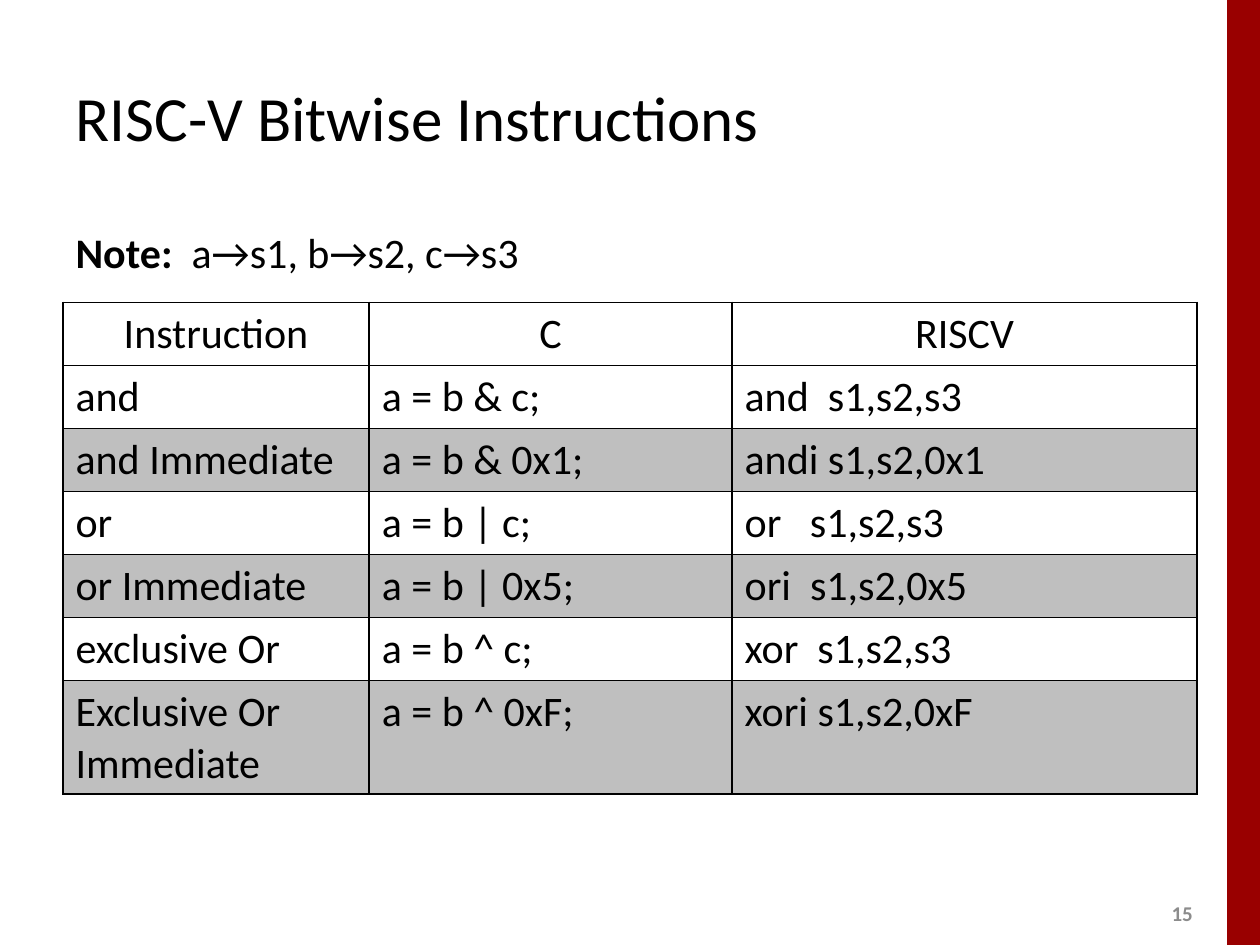
from dataclasses import dataclass

from lxml import etree
from pptx import Presentation
from pptx.dml.color import RGBColor
from pptx.enum.shapes import MSO_SHAPE
from pptx.enum.text import MSO_ANCHOR, PP_ALIGN
from pptx.oxml.ns import qn
from pptx.util import Inches, Pt

RECTANGLE = MSO_SHAPE.RECTANGLE
MIDDLE, TOP = MSO_ANCHOR.MIDDLE, MSO_ANCHOR.TOP
LEFT, CENTER = PP_ALIGN.LEFT, PP_ALIGN.CENTER


@dataclass(frozen=True)
class Theme:
    font: str = "Calibri"
    ink: str = "000000"
    muted: str = "8C8C8C"
    accent: str = "990000"
    band: str = "BFBFBF"
    title_size: int = 36
    body_size: int = 24
    number_size: int = 12
    border: float = 1


THEME = Theme()
COLUMN_WIDTHS = (2.43, 2.88, 3.69)
ROW_HEIGHT = 0.5
LAST_ROW_HEIGHT = 0.9
INSTRUCTIONS = (
    ("Instruction", "C", "RISCV"),
    ("and", "a = b & c;", "and  s1,s2,s3"),
    ("and Immediate", "a = b & 0x1;", "andi s1,s2,0x1"),
    ("or", "a = b | c;", "or   s1,s2,s3"),
    ("or Immediate", "a = b | 0x5;", "ori  s1,s2,0x5"),
    ("exclusive Or", "a = b ^ c;", "xor  s1,s2,s3"),
    ("Exclusive Or Immediate", "a = b ^ 0xF;", "xori s1,s2,0xF"),
)


def place(shape, left, top, width, height):
    shape.left, shape.top = Inches(left), Inches(top)
    shape.width, shape.height = Inches(width), Inches(height)


def style_span(span, size, color=THEME.ink, bold=False):
    span.font.name = THEME.font
    span.font.size = Pt(size)
    span.font.bold = bold
    span.font.color.rgb = RGBColor.from_string(color)


def add_side_bar(slide):
    bar = slide.shapes.add_shape(RECTANGLE, Inches(9.74), 0, Inches(0.26), Inches(7.5))
    bar.shadow.inherit = False
    bar.fill.solid()
    bar.fill.fore_color.rgb = RGBColor.from_string(THEME.accent)
    bar.line.fill.background()


def add_slide_number(slide, number):
    box = slide.shapes.add_textbox(Inches(9.2), Inches(7.1), Inches(0.4), Inches(0.3))
    frame = box.text_frame
    frame.word_wrap = True
    frame.vertical_anchor = MIDDLE
    frame.text = number
    style_span(frame.paragraphs[0].runs[0], THEME.number_size, THEME.muted, True)


def fill_title(slide, text):
    title = slide.shapes.title
    place(title, 0.5, 0.3, 9, 1.25)
    title.text_frame.text = text
    title.text_frame.vertical_anchor = MIDDLE
    para = title.text_frame.paragraphs[0]
    para.alignment = LEFT
    style_span(para.runs[0], THEME.title_size)


def fill_note(slide, label, text):
    body = slide.placeholders[1]
    place(body, 0.5, 1.75, 9, 1)
    body.text_frame.vertical_anchor = TOP
    para = body.text_frame.paragraphs[0]
    para.space_before = Pt(0)
    properties = para._p.get_or_add_pPr()
    properties.set("marL", "0")
    properties.set("indent", "0")
    etree.SubElement(properties, qn("a:buNone"))
    for words, bold in ((label, True), (text, False)):
        span = para.add_run()
        span.text = words
        style_span(span, THEME.body_size, bold=bold)


def add_borders(cell):
    properties = cell._tc.get_or_add_tcPr()
    for side in ("lnL", "lnR", "lnT", "lnB"):
        line = etree.SubElement(properties, qn(f"a:{side}"), w=str(Pt(THEME.border)))
        fill = etree.SubElement(line, qn("a:solidFill"))
        etree.SubElement(fill, qn("a:srgbClr"), val=THEME.ink)


def fill_cell(cell, text, alignment, shaded):
    add_borders(cell)
    if shaded:
        cell.fill.solid()
        cell.fill.fore_color.rgb = RGBColor.from_string(THEME.band)
    else:
        cell.fill.background()
    cell.text_frame.text = text
    para = cell.text_frame.paragraphs[0]
    para.alignment = alignment
    style_span(para.runs[0], THEME.body_size)


def add_instruction_table(slide):
    heights = [ROW_HEIGHT] * (len(INSTRUCTIONS) - 1) + [LAST_ROW_HEIGHT]
    table = slide.shapes.add_table(
        len(INSTRUCTIONS), len(COLUMN_WIDTHS), Inches(0.5), Inches(2.4),
        Inches(sum(COLUMN_WIDTHS)), Inches(sum(heights)),
    ).table
    table.first_row = False
    table.horz_banding = False
    for column, width in zip(table.columns, COLUMN_WIDTHS):
        column.width = Inches(width)
    for index, (row, texts) in enumerate(zip(table.rows, INSTRUCTIONS)):
        row.height = Inches(heights[index])
        alignment = LEFT if index else CENTER
        shaded = index > 0 and index % 2 == 0
        for cell, text in zip(row.cells, texts):
            fill_cell(cell, text, alignment, shaded)


def main():
    deck = Presentation()
    deck.slide_width, deck.slide_height = Inches(10), Inches(7.5)
    slide = deck.slides.add_slide(deck.slide_layouts[1])
    add_side_bar(slide)
    add_slide_number(slide, "15")
    fill_title(slide, "RISC-V Bitwise Instructions")
    fill_note(slide, "Note:", "  a→s1, b→s2, c→s3")
    add_instruction_table(slide)
    deck.save("out.pptx")


if __name__ == "__main__":
    main()
